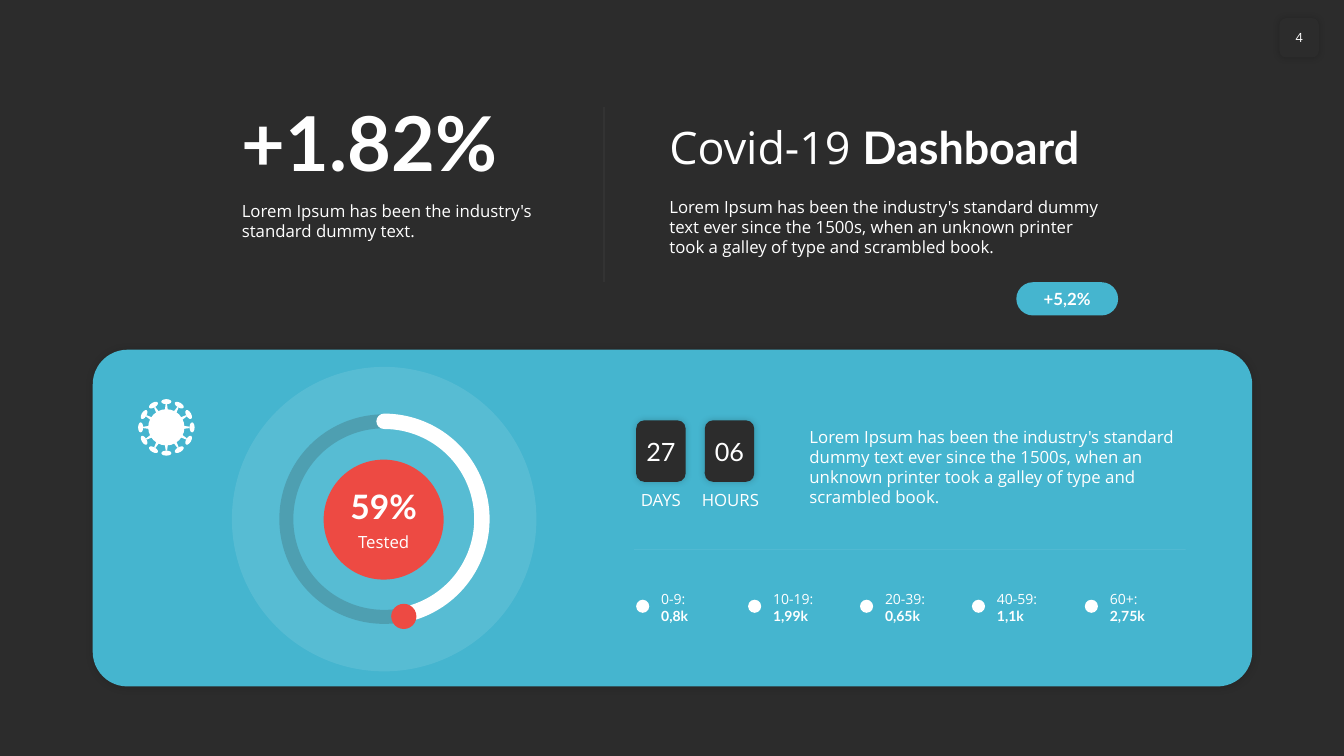
import math
from pptx import Presentation
from pptx import util as u
from pptx.dml.color import RGBColor
from pptx.enum import shapes, text
from pptx.oxml.ns import qn
from lxml import etree

PX = 9144
COLORS = {"dark": "2C2C2C", "blue": "45B5CF", "red": "ED4A43", "white": "FFFFFF", "black": "000000"}
KIND = shapes.MSO_SHAPE
TOP, MIDDLE, BOTTOM = text.MSO_ANCHOR.TOP, text.MSO_ANCHOR.MIDDLE, text.MSO_ANCHOR.BOTTOM
LEFT, CENTER = text.PP_ALIGN.LEFT, text.PP_ALIGN.CENTER
LATO, SANS = {"name": "Lato", "bold": False}, {"name": "Open Sans", "bold": False}
BOLD = {"name": "Lato", "bold": True}
TILE_INSETS = (0, 5, 0, 5)
BOX_INSETS = (10, 5, 10, 5)

deck = Presentation()
deck.slide_width, deck.slide_height = 1333 * PX, 750 * PX
page = deck.slides.add_slide(deck.slide_layouts[6])
page.background.fill.solid()
page.background.fill.fore_color.rgb = RGBColor.from_string(COLORS["dark"])


def draw(kind, at, fill=None, line=None, width=0, alpha=None, corner=None, shadow=None, parent=page):
    shape = parent.shapes.add_shape(kind, *[value * PX for value in at])
    if corner is not None:
        shape.adjustments[0] = corner
    for paint, color in ((shape.fill, fill), (shape.line.fill, line)):
        if color:
            paint.solid()
            paint.fore_color.rgb = RGBColor.from_string(COLORS[color])
        else:
            paint.background()
    if line:
        shape.line.width = u.Pt(width)
    if alpha:
        for color in shape.element.spPr.iter(qn("a:srgbClr")):
            etree.SubElement(color, qn("a:alpha"), val=str(alpha * 1000))
    shape.shadow.inherit = False
    if shadow:
        opacity, blur, distance = shadow
        effects = shape.element.spPr.find(qn("a:effectLst"))
        outer = etree.SubElement(effects, qn("a:outerShdw"), blurRad=str(u.Pt(blur)),
                                 dist=str(u.Pt(distance)), dir="2700000", algn="tl", rotWithShape="0")
        color = etree.SubElement(outer, qn("a:srgbClr"), val=COLORS["black"])
        etree.SubElement(color, qn("a:alpha"), val=str(opacity * 1000))
    return shape


def write(place, size, paragraphs, align=LEFT, anchor=TOP, insets=BOX_INSETS, wrap=True):
    is_box = isinstance(place, tuple)
    box = page.shapes.add_textbox(*[value * PX for value in place]) if is_box else place
    frame = box.text_frame
    layout = {"word_wrap": wrap, "vertical_anchor": anchor}
    if is_box:
        layout["auto_size"] = text.MSO_AUTO_SIZE.SHAPE_TO_FIT_TEXT
    for side, inset in zip(("left", "top", "right", "bottom"), insets):
        layout[f"margin_{side}"] = inset * PX
    for name, value in layout.items():
        setattr(frame, name, value)
    for index, spans in enumerate(paragraphs):
        para = frame.add_paragraph() if index else frame.paragraphs[0]
        para.alignment = align
        for words, style in spans:
            span = para.add_run()
            span.text = words
            for name, value in {**style, "size": u.Pt(size)}.items():
                setattr(span.font, name, value)
            span.font.color.rgb = RGBColor.from_string(COLORS["white"])


page_number = draw(KIND.ROUNDED_RECTANGLE, (1269, 18, 39, 39), "dark", shadow=(20, 5, 0))
write(page_number, 9, [[("4", SANS)]], CENTER, MIDDLE, TILE_INSETS, wrap=False)

lorem = "Lorem Ipsum has been the industry's standard dummy text"
story = lorem + " ever since the 1500s, when an unknown printer took a galley of type and scrambled book."
write((230, 89, 336, 101), 54, [[("+1.82%", BOLD)]], anchor=BOTTOM)
write((230, 194, 336, 50), 12, [[(lorem + ".", SANS)]])
write((654, 113, 455, 64), 32, [[("Covid-19 ", SANS), ("Dashboard", BOLD)]], anchor=BOTTOM)
write((654, 190, 455, 71), 12, [[(story, SANS)]])

badge = draw(KIND.ROUNDED_RECTANGLE, (1008, 280, 101, 33), "blue", corner=0.5)
write(badge, 12, [[("+5,2%", BOLD)]], CENTER, MIDDLE, (0, 0, 0, 0))

draw(KIND.ROUNDED_RECTANGLE, (92, 347, 1150, 334), "blue", corner=0.103, shadow=(15, 6, 1))

draw(KIND.OVAL, (230, 364, 302, 302), "white", alpha=10)
draw(KIND.OVAL, (321, 456, 119, 119), "red")
ring = (284, 418, 194, 194)
draw(KIND.OVAL, ring, line="dark", width=10, alpha=20)
progress = draw(KIND.ARC, ring, line="white", width=11, corner=162)
progress.adjustments[1] = 44.96
progress.line.fill
progress.element.spPr.find(qn("a:ln")).set("cap", "rnd")
draw(KIND.OVAL, (388, 599, 25, 25), "red")
write((321, 477, 119, 50), 24, [[("59%", BOLD)]], CENTER, BOTTOM)
write((321, 523, 119, 30), 12, [[("Tested", SANS)]], CENTER)

virus = page.shapes.add_group_shape()
virus_x, virus_y = 165, 424
draw(KIND.OVAL, (virus_x - 18, virus_y - 18, 36, 36), "white", parent=virus)
spike_parts = ((KIND.OVAL, 25.5, 10, 5, None), (KIND.TRAPEZOID, 20, 3, 6, 0.266))
for angle in range(0, 360, 30):
    for kind, radius, width, height, corner in spike_parts:
        x = virus_x + radius * math.sin(math.radians(angle))
        y = virus_y - radius * math.cos(math.radians(angle))
        part = draw(kind, (0, 0, width, height), "white", corner=corner, parent=virus)
        part.left, part.top = round((x - width / 2) * PX), round((y - height / 2) * PX)
        part.rotation = angle

for left, number, label, label_left, label_width in ((631, "27", "DAYS", 626, 59), (699, "06", "HOURS", 691, 67)):
    tile = draw(KIND.ROUNDED_RECTANGLE, (left, 417, 49, 61), "dark", shadow=(20, 5, 0))
    write(tile, 18, [[(number, LATO)]], CENTER, MIDDLE, TILE_INSETS)
    write((label_left, 481, label_width, 30), 12, [[(label, SANS)]], CENTER, insets=(4, 5, 4, 5))

write((793, 418, 382, 91), 12, [[(story, SANS)]])

ages = (("0-9:", "0,8k"), ("10-19:", "1,99k"), ("20-39:", "0,65k"), ("40-59:", "1,1k"), ("60+:", "2,75k"))
for index, (age, count) in enumerate(ages):
    left = 631 + index * 445 // 4
    draw(KIND.OVAL, (left, 595, 13, 13), "white")
    write((left + 15, 581, 80, 44), 10, [[(age, SANS)], [(count, BOLD)]], anchor=MIDDLE)

for ends in ((629, 545, 1176, 545), (599, 280, 599, 106)):
    divider = page.shapes.add_connector(shapes.MSO_CONNECTOR.STRAIGHT, *[value * PX for value in ends])
    divider.line.width = u.Pt(0.5)
    divider.line.color.rgb = RGBColor.from_string(COLORS["white"])
    color = next(divider.element.spPr.iter(qn("a:srgbClr")))
    etree.SubElement(color, qn("a:alpha"), val="10000")
    etree.SubElement(divider.element.spPr, qn("a:effectLst"))

deck.save("out.pptx")
